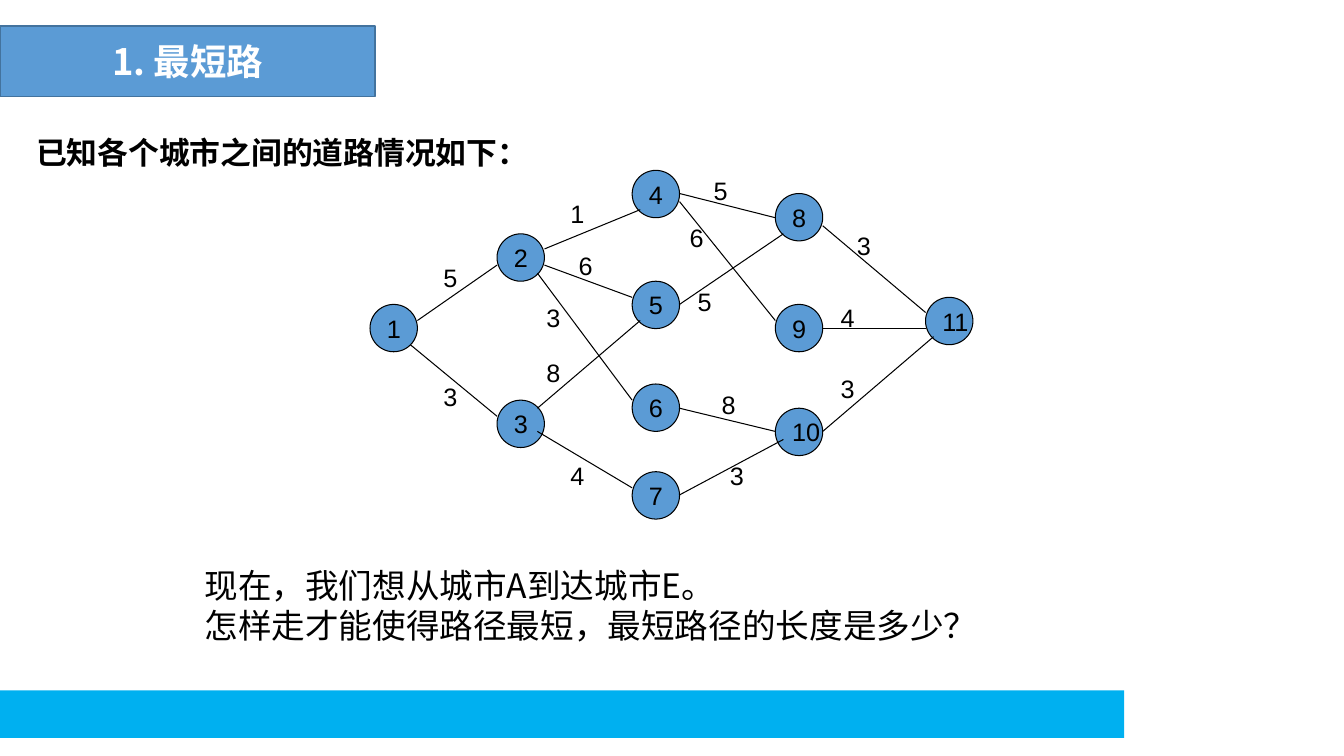
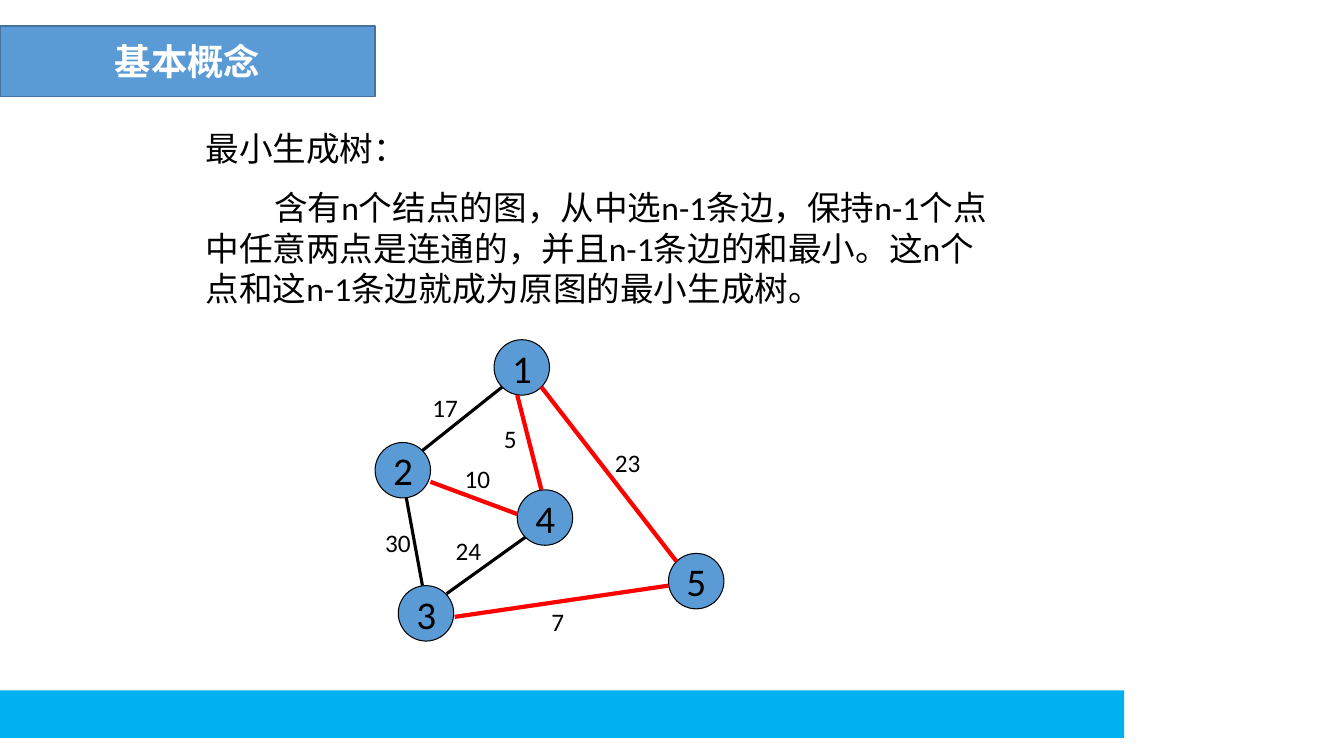
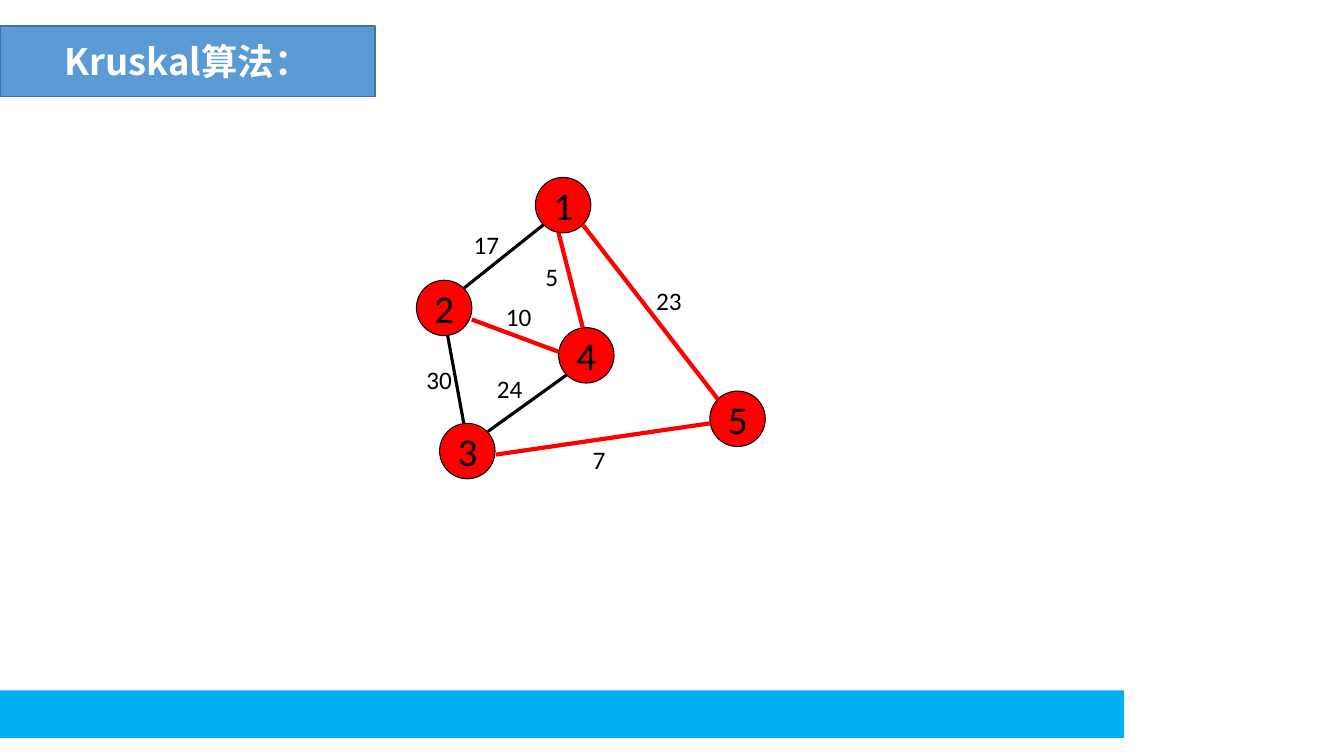
from lxml.etree import SubElement
from pptx import Presentation
from pptx.dml.color import RGBColor
from pptx.enum.shapes import MSO_CONNECTOR as Connector, MSO_SHAPE as Shape
from pptx.enum.text import MSO_ANCHOR as Anchor, PP_ALIGN as Align
from pptx.oxml.ns import qn
from pptx.util import Emu, Pt

BLACK = RGBColor(0x00, 0x00, 0x00)
WHITE = RGBColor(0xFF, 0xFF, 0xFF)
RED = RGBColor(0xFF, 0x00, 0x00)
BLUE = RGBColor(0x5B, 0x9B, 0xD5)
DARK_BLUE = RGBColor(0x43, 0x73, 0x9E)
SKY = RGBColor(0x00, 0xB0, 0xF0)

CJK = "Noto Sans CJK SC"
TITLE = {"name": CJK, "size": Pt(26), "bold": True}
LEAD = {"name": "Calibri", "size": Pt(22), "bold": True}
BODY = {"name": "Calibri", "size": Pt(24)}
QUESTION = {"name": CJK, "size": Pt(24)}
ROAD_TEXT = {"name": "Arial", "size": Pt(18)}
TREE_NODE_TEXT = {"name": "Calibri", "size": Pt(28)}
TREE_WEIGHT_TEXT = {"name": "Calibri", "size": Pt(18)}

# City map: number -> left, top of the circle
CITIES = {
    1: (367, 302), 2: (493, 232), 3: (493, 397),
    4: (627, 169), 5: (627, 279), 6: (627, 381), 7: (627, 468),
    8: (769, 192), 9: (769, 302), 10: (769, 405), 11: (918, 295),
}
# Roads: line start and end, length, left and top of its label
ROADS = [
    (414, 318, 493, 263, 5, 430, 255),
    (407, 342, 493, 413, 3, 430, 373),
    (540, 247, 635, 208, 1, 556, 192),
    (540, 263, 627, 295, 6, 564, 243),
    (533, 271, 627, 397, 3, 532, 295),
    (533, 405, 635, 318, 8, 532, 350),
    (533, 428, 627, 484, 4, 556, 452),
    (674, 192, 769, 216, 5, 698, 169),
    (674, 200, 769, 318, 6, 674, 216),
    (674, 302, 777, 232, 5, 682, 279),
    (674, 405, 769, 428, 8, 706, 381),
    (674, 491, 777, 436, 3, 714, 452),
    (816, 224, 918, 310, 3, 840, 224),
    (816, 326, 918, 326, 4, 824, 295),
    (816, 428, 926, 334, 3, 824, 365),
]

# Weighted graph, laid out as on the concept slide
TREE_NODES = {1: (490, 337), 2: (372, 439), 3: (395, 581),
              4: (513, 486), 5: (663, 549)}
OTHER_EDGES = [
    (498, 384, 419, 447, 17, 419, 384),
    (403, 494, 419, 581, 30, 372, 518),
    (443, 589, 521, 533, 24, 442, 526),
]
TREE_EDGES = [
    (513, 392, 537, 486, 5, 490, 415),
    (427, 478, 513, 510, 10, 451, 455),
    (537, 384, 671, 557, 23, 600, 439),
    (451, 612, 663, 581, 7, 537, 597),
]


def px(length):
    return Emu(length * 9144)


def style_text(paragraph, style, color=BLACK):
    for run in paragraph.runs:
        for key, value in style.items():
            setattr(run.font, key, value)
        run.font.color.rgb = color
        SubElement(run._r.get_or_add_rPr(), qn("a:ea"), typeface=CJK)


def add_block(slide, kind, box, fill, line=None, width=0.75):
    block = slide.shapes.add_shape(kind, *map(px, box))
    block.shadow.inherit = False
    block.fill.solid()
    block.fill.fore_color.rgb = fill
    if line is None:
        block.line.fill.background()
    else:
        block.line.color.rgb = line
        block.line.width = Pt(width)
    return block


def write_in(block, text, style, color, align, wrap):
    frame = block.text_frame
    frame.word_wrap = wrap
    frame.vertical_anchor = Anchor.MIDDLE
    paragraph = frame.paragraphs[0]
    paragraph.text = text
    paragraph.alignment = align
    style_text(paragraph, style, color)


def add_text(slide, box, lines, style, pitch=None):
    frame = slide.shapes.add_textbox(*map(px, box)).text_frame
    frame.word_wrap = True
    for index, line in enumerate(lines):
        paragraph = frame.add_paragraph() if index else frame.paragraphs[0]
        paragraph.text = line
        if pitch:
            paragraph.line_spacing = Pt(pitch)
        if index:
            paragraph.space_before = Pt(13)
        style_text(paragraph, style)
    return frame


def add_edge(slide, ends, color, width):
    edge = slide.shapes.add_connector(Connector.STRAIGHT, *map(px, ends))
    edge.line.color.rgb = color
    edge.line.width = Pt(width)
    SubElement(edge._element.spPr, qn("a:effectLst"))


def add_nodes(slide, nodes, size, fill, style, dx=0, dy=0):
    for number, (left, top) in nodes.items():
        node = add_block(slide, Shape.OVAL, (left + dx, top + dy, size, size), fill, BLACK)
        write_in(node, str(number), style, BLACK, Align.LEFT, False)


def add_edges(slide, edges, color, width, style, dx=0, dy=0):
    for x1, y1, x2, y2, weight, left, top in edges:
        add_edge(slide, (x1 + dx, y1 + dy, x2 + dx, y2 + dy), color, width)
        label = str(weight)
        label_width = 23 + 16 * len(label)
        add_text(slide, (left + dx, top + dy, label_width, 43), [label], style)


def add_tree(slide, fill, dx=0, dy=0):
    add_nodes(slide, TREE_NODES, 55, fill, TREE_NODE_TEXT, dx, dy)
    add_edges(slide, OTHER_EDGES, BLACK, 2.25, TREE_WEIGHT_TEXT, dx, dy)
    add_edges(slide, TREE_EDGES, RED, 3, TREE_WEIGHT_TEXT, dx, dy)


def new_slide(deck, title):
    slide = deck.slides.add_slide(deck.slide_layouts[6])
    add_block(slide, Shape.RECTANGLE, (0, 685, 1115, 47), SKY)
    banner = add_block(slide, Shape.RECTANGLE, (0, 26, 372, 70), BLUE, DARK_BLUE, 1)
    write_in(banner, title, TITLE, WHITE, Align.CENTER, True)
    return slide


def main():
    deck = Presentation()
    deck.slide_width, deck.slide_height = px(1333), px(750)

    # Shortest path
    slide = new_slide(deck, "1. 最短路")
    add_nodes(slide, CITIES, 47, BLUE, ROAD_TEXT)
    add_edges(slide, ROADS, BLACK, 0.75, ROAD_TEXT)
    add_text(slide, (193, 555, 800, 90),
             ["现在，我们想从城市A到达城市E。\v怎样走才能使得路径最短，最短路径的长度是多少？"],
             QUESTION, 29)
    add_text(slide, (26, 127, 630, 47), ["已知各个城市之间的道路情况如下："], LEAD, 27)

    # Minimum spanning tree
    slide = new_slide(deck, "基本概念")
    concept = add_text(slide, (194, 122, 811, 190), [
        "最小生成树：",
        "含有n个结点的图，从中选n-1条边，保持n-1个点中任意两点是连通的，"
        "并且n-1条边的和最小。这n个点和这n-1条边就成为原图的最小生成树。",
    ], BODY, 29)
    concept.paragraphs[1]._p.get_or_add_pPr().set("indent", str(px(68)))
    add_tree(slide, BLUE)

    # Kruskal result
    slide = new_slide(deck, "Kruskal算法：")
    add_tree(slide, RED, 41, -161)

    deck.save("out.pptx")


if __name__ == "__main__":
    main()
